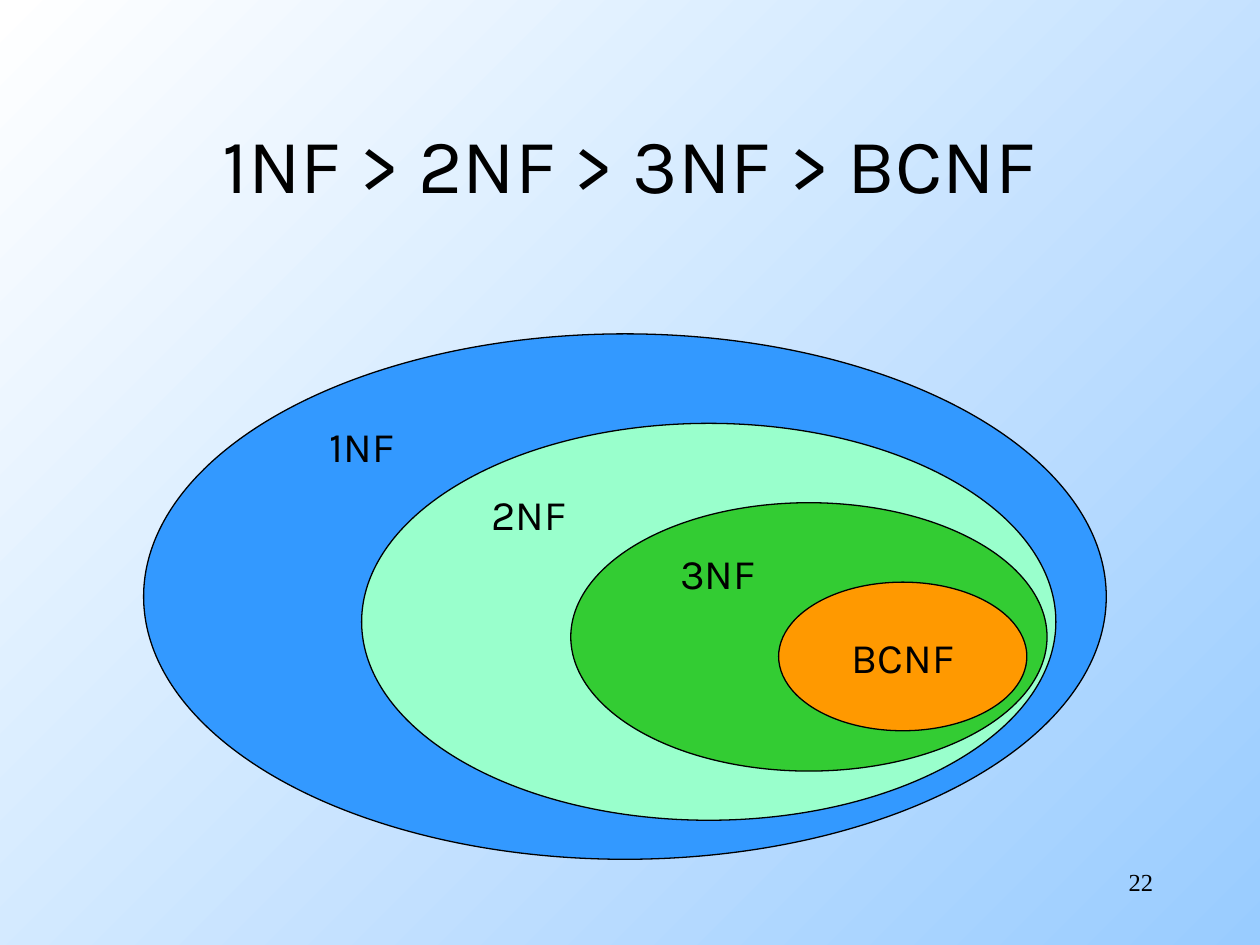
import pptx
import pptx.util
import pptx.dml.color
import pptx.enum.shapes
import pptx.enum.text
from pptx.util import Inches, Pt
from pptx.dml.color import RGBColor

BLACK = RGBColor(0x00, 0x00, 0x00)
WHITE = RGBColor(0xFF, 0xFF, 0xFF)
SKY = RGBColor(0x99, 0xCC, 0xFF)
BLUE = RGBColor(0x33, 0x99, 0xFF)
MINT = RGBColor(0x99, 0xFF, 0xCC)
GREEN = RGBColor(0x33, 0xCC, 0x33)
ORANGE = RGBColor(0xFF, 0x99, 0x00)

ALIGN = pptx.enum.text.PP_ALIGN
ANCHOR = pptx.enum.text.MSO_ANCHOR
FIT = pptx.enum.text.MSO_AUTO_SIZE
OVAL = pptx.enum.shapes.MSO_SHAPE.OVAL


class Deck:
    face = "Karla"
    size = 24

    def __init__(self, width, height):
        self.show = pptx.Presentation()
        self.show.slide_width = Inches(width)
        self.show.slide_height = Inches(height)
        self.slide = self.show.slides.add_slide(self.show.slide_layouts[5])

    def backdrop(self, start, end):
        fill = self.slide.background.fill
        fill.gradient()
        fill.gradient_angle = 315
        for stop, color in zip(fill.gradient_stops, (start, end)):
            stop.color.rgb = color

    def letter(self, frame, text, align, size=None, face=None):
        frame.text = text
        line = frame.paragraphs[0]
        line.alignment = align
        line.font.name = face or self.face
        line.font.size = Pt(size or self.size)
        line.font.color.rgb = BLACK

    def title(self, text, box):
        head = self.slide.shapes.title
        head.left, head.top, head.width, head.height = map(Inches, box)
        head.text_frame.vertical_anchor = ANCHOR.MIDDLE
        self.letter(head.text_frame, text, ALIGN.CENTER, 44)

    def oval(self, box, color, text=None):
        shape = self.slide.shapes.add_shape(OVAL, *map(Inches, box))
        shape.shadow.inherit = False
        shape.fill.solid()
        shape.fill.fore_color.rgb = color
        shape.line.color.rgb = BLACK
        shape.line.width = Pt(0.75)
        if text:
            shape.text_frame.word_wrap = False
            shape.text_frame.vertical_anchor = ANCHOR.MIDDLE
            self.letter(shape.text_frame, text, ALIGN.CENTER)

    def label(self, text, left, top):
        box = map(Inches, (left, top, 0.81, 0.5))
        frame = self.slide.shapes.add_textbox(*box).text_frame
        frame.word_wrap = False
        frame.auto_size = FIT.SHAPE_TO_FIT_TEXT
        self.letter(frame, text, ALIGN.LEFT)

    def number(self, text, box):
        frame = self.slide.shapes.add_textbox(*map(Inches, box)).text_frame
        frame.word_wrap = True
        self.letter(frame, text, ALIGN.RIGHT, 14, "Times New Roman")


def main():
    deck = Deck(10, 7.5)
    deck.backdrop(WHITE, SKY)
    deck.number("22", (7.17, 6.83, 2.08, 0.5))
    deck.title("1NF > 2NF > 3NF > BCNF", (0.75, 0.67, 8.5, 1.25))
    deck.oval((1.14, 2.65, 7.64, 4.17), BLUE)
    deck.oval((2.87, 3.36, 5.51, 3.15), MINT)
    deck.oval((4.53, 3.99, 3.78, 2.13), GREEN)
    deck.oval((6.18, 4.62, 1.97, 1.18), ORANGE, "BCNF")
    deck.label("1NF", 2.52, 3.29)
    deck.label("2NF", 3.8, 3.83)
    deck.label("3NF", 5.3, 4.3)
    deck.show.save("out.pptx")


if __name__ == "__main__":
    main()
